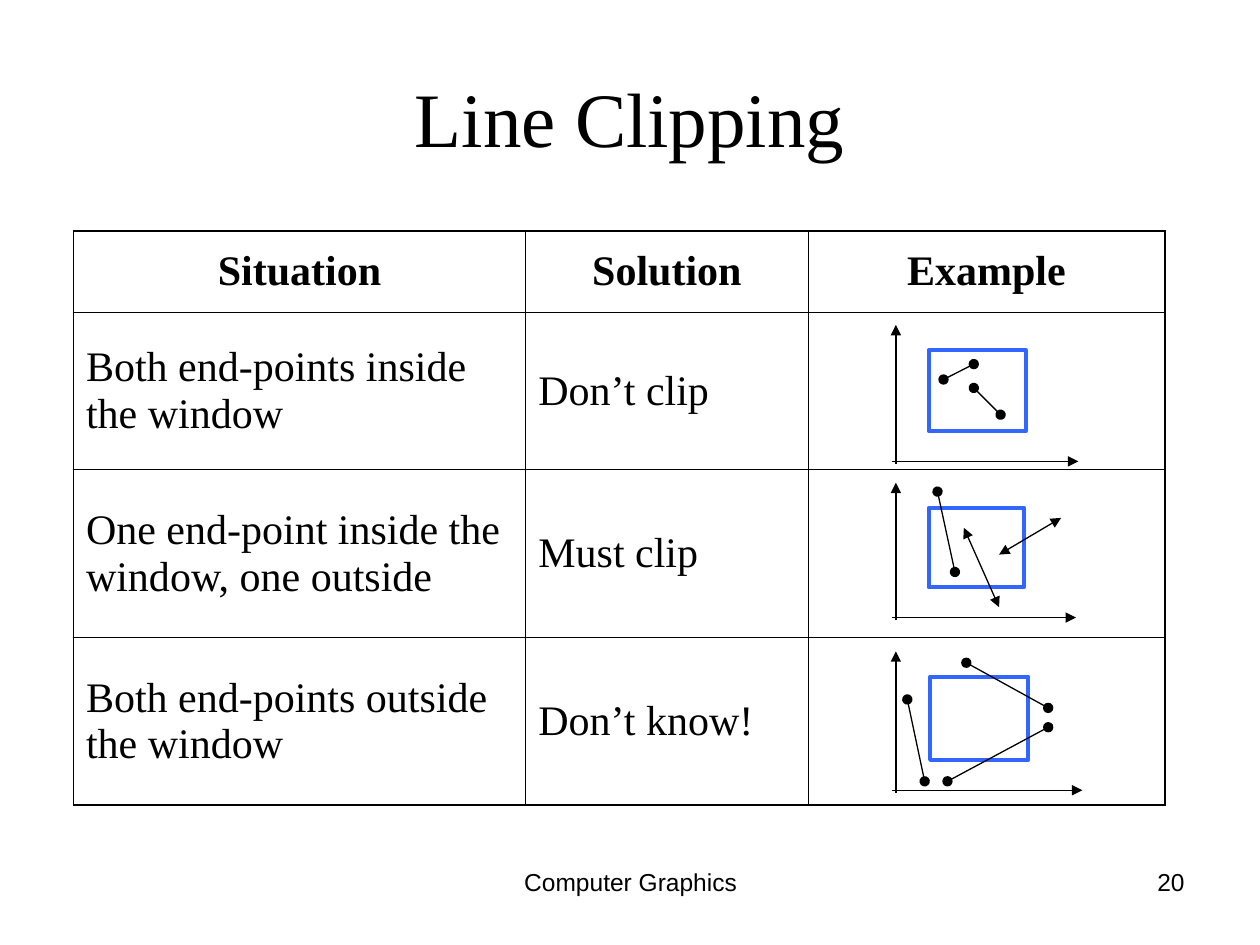
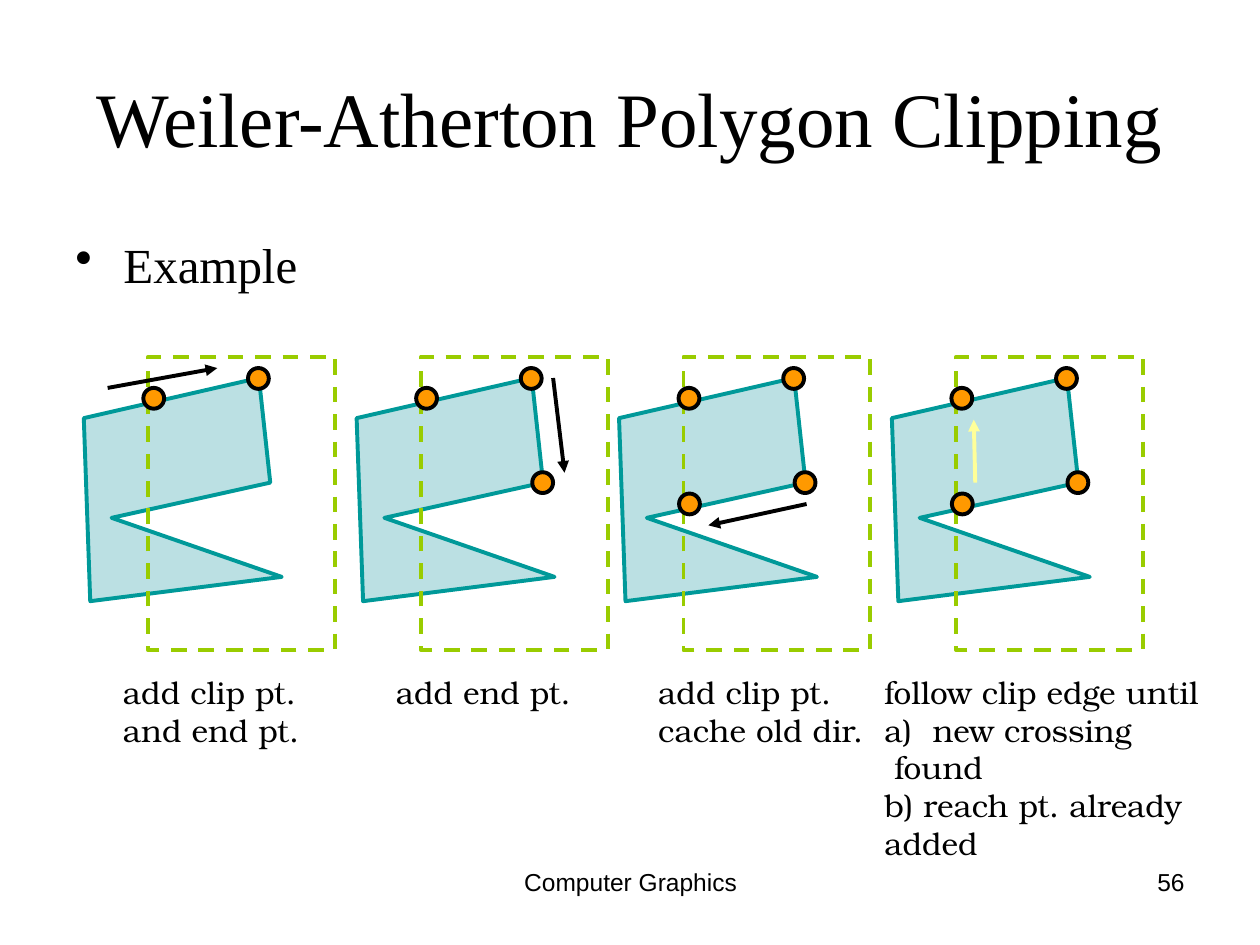
import dataclasses

import lxml.etree
import pptx
import pptx.dml.color
import pptx.enum.dml
import pptx.enum.shapes
import pptx.enum.text
import pptx.oxml.ns
import pptx.util

Cm = pptx.util.Cm
Pt = pptx.util.Pt
rgb = pptx.dml.color.RGBColor.from_string
qn = pptx.oxml.ns.qn
SHAPE = pptx.enum.shapes.MSO_SHAPE
ALIGN = pptx.enum.text.PP_ALIGN
ANCHOR = pptx.enum.text.MSO_ANCHOR


@dataclasses.dataclass(frozen=True)
class Theme:
    ink: str = "000000"
    window: str = "3366FF"
    dashes: str = "99CC00"
    body: str = "BBE0E3"
    edge: str = "009999"
    dot: str = "FF9900"
    follow: str = "FFFF99"
    serif: str = "Times New Roman"
    sans: str = "Arial"
    label: str = "TeX Gyre Bonum"
    title: int = 44
    bullet: int = 28
    cell: int = 24
    note: int = 18
    foot: int = 14
    thin: float = 0.75
    thick: float = 2.25


theme = Theme()


def write(frame, text, size, font=theme.serif, bold=False, align=ALIGN.LEFT,
          anchor=ANCHOR.TOP, marks=None):
    """Fill a frame; marks maps a line number to (left, first indent, bullet tag, its values)."""
    frame.word_wrap = True
    frame.vertical_anchor = anchor
    for num, line in enumerate(text.split("\n")):
        para = frame.paragraphs[0] if num == 0 else frame.add_paragraph()
        if marks and num in marks:
            left, first, tag, values = marks[num]
            props = para._p.get_or_add_pPr()
            props.set("marL", str(Cm(left)))
            props.set("indent", str(Cm(first)))
            lxml.etree.SubElement(props, qn(tag), values)
        para.alignment = align
        run = para.add_run()
        run.text = line
        run.font.size = Pt(size)
        run.font.name = font
        run.font.bold = bold
        run.font.color.rgb = rgb(theme.ink)


def draw(shapes, ends, color=theme.ink, width=theme.thin, head="none", tail="none"):
    """Draw a line from (x1, y1) to (x2, y2) in cm, with a mark at each end."""
    link = shapes.add_connector(pptx.enum.shapes.MSO_CONNECTOR.STRAIGHT, *map(Cm, ends))
    link.line.color.rgb = rgb(color)
    link.line.width = Pt(width)
    stroke = link.line._get_or_add_ln()
    lxml.etree.SubElement(stroke, qn("a:headEnd"), type=head)
    lxml.etree.SubElement(stroke, qn("a:tailEnd"), type=tail)
    lxml.etree.SubElement(link._element.spPr, qn("a:effectLst"))


deck = pptx.Presentation()
deck.slide_width = Cm(25.4)
deck.slide_height = Cm(19.05)

# Title and footers of both slides
pages = []
for title, number in (("Line Clipping", "20"), ("Weiler-Atherton Polygon Clipping", "56")):
    page = deck.slides.add_slide(deck.slide_layouts[6])
    pages.append(page.shapes)
    for place, text, form in (
        ((1.27, 0.76, 22.86, 3.18), title,
         dict(size=theme.title, align=ALIGN.CENTER, anchor=ANCHOR.MIDDLE)),
        ((8.69, 17.35, 8.05, 1.32), "Computer Graphics",
         dict(size=theme.foot, font=theme.sans, align=ALIGN.CENTER)),
        ((18.21, 17.35, 5.92, 1.32), number,
         dict(size=theme.foot, font=theme.sans, align=ALIGN.RIGHT)),
    ):
        write(page.shapes.add_textbox(*map(Cm, place)).text_frame, text, **form)
clip, weiler = pages

# Table of cases
rows = [
    ("Situation", "Solution", "Example"),
    ("Both end-points inside the window", "Don’t clip", ""),
    ("One end-point inside the window, one outside", "Must clip", ""),
    ("Both end-points outside the window", "Don’t know!", ""),
]
widths = (9.12, 5.69, 7.19)
heights = (1.63, 3.18, 3.38, 3.38)
grid = clip.add_table(len(rows), len(widths), Cm(1.48), Cm(4.66),
                      Cm(sum(widths)), Cm(sum(heights))).table
grid.first_row = grid.horz_banding = False
for col, width in zip(grid.columns, widths):
    col.width = Cm(width)
for r, (row, height) in enumerate(zip(rows, heights)):
    grid.rows[r].height = Cm(height)
    for c, text in enumerate(row):
        cell = grid.cell(r, c)
        cell.fill.background()
        cell.vertical_anchor = ANCHOR.MIDDLE
        if text:
            write(cell.text_frame, text, theme.cell, bold=r == 0,
                  align=ALIGN.LEFT if r else ALIGN.CENTER, anchor=None)
        outer = {"L": c == 0, "R": c == len(widths) - 1, "T": r == 0, "B": r == len(rows) - 1}
        for spot, (side, bold) in enumerate(outer.items()):
            rule = lxml.etree.Element(qn("a:ln" + side), w=str(Pt(1.08 if bold else 0.45)))
            fill = lxml.etree.SubElement(rule, qn("a:solidFill"))
            lxml.etree.SubElement(fill, qn("a:srgbClr"), val=theme.ink)
            cell._tc.get_or_add_tcPr().insert(spot, rule)

# Example plots: base line, its right end, top of the axis, window, segments
plots = [
    (9.3, 21.74, 6.55, (18.72, 7.06, 1.96, 1.63), [
        ("oval", (19.02, 7.65, 19.63, 7.34)),
        ("oval", (19.63, 7.82, 20.17, 8.36))]),
    (12.45, 21.69, 9.73, (18.72, 10.24, 1.93, 1.6), [
        ("triangle", (20.14, 11.18, 21.39, 10.44)),
        ("triangle", (19.43, 10.64, 20.14, 12.24)),
        ("oval", (18.9, 9.91, 19.25, 11.53))]),
    (15.93, 21.82, 13.13, (18.75, 13.64, 1.98, 1.68), [
        ("oval", (19.48, 13.36, 21.13, 14.27)),
        ("oval", (19.1, 15.75, 21.13, 14.66)),
        ("oval", (18.29, 14.1, 18.64, 15.75))]),
]
for base, right, top, place, parts in plots:
    plot = clip.add_group_shape().shapes
    draw(plot, (17.98, base, right, base), tail="triangle")
    draw(plot, (18.06, base + 0.05, 18.06, top), tail="triangle")
    window = plot.add_shape(SHAPE.RECTANGLE, *map(Cm, place))
    window.shadow.inherit = False
    window.fill.background()
    window.line.color.rgb = rgb(theme.window)
    window.line.width = Pt(theme.thick)
    for mark, ends in parts:
        draw(plot, ends, head=mark, tail=mark)

# Steps of the polygon example; x values count from the left of each step
write(weiler.add_textbox(Cm(1.27), Cm(4.6), Cm(22.86), Cm(2)).text_frame, "Example",
      theme.bullet, marks={0: (0.97, -0.97, "a:buChar", {"char": "•"})})

outline = [(0, 8.43), (3.53, 7.62), (3.76, 9.73), (0.56, 10.44), (3.99, 11.63), (0.13, 12.12)]
dots = [(1.2, 7.82), (3.31, 7.42), (3.54, 9.52), (1.21, 9.95)]
steps = [
    (1.69, 2, (0.48, 7.82, 2.69, 7.42), theme.ink, 0.54, 5.2,
     "add clip pt.\nand end pt.", None),
    (7.19, 3, (3.96, 7.62, 4.19, 9.53), theme.ink, 0.54, 5.2, "add end pt.", None),
    (12.48, 4, (3.78, 10.16, 1.8, 10.59), theme.ink, 0.54, 5.2,
     "add clip pt.\ncache old dir.", None),
    (17.98, 4, (1.68, 9.73, 1.65, 8.46), theme.follow, -0.4, 7.4,
     "follow clip edge until\nnew crossing\nfound\nb) reach pt. already\nadded",
     {1: (0.97, -0.97, "a:buAutoNum", {"type": "alphaLcParenR"}),
      2: (0.2, 0, "a:buNone", {})}),
]
for left, count, (x1, y1, x2, y2), color, shift, width, text, marks in steps:
    points = [(Cm(left + x), Cm(y)) for x, y in outline]
    pen = weiler.build_freeform(*points[0])
    pen.add_line_segments(points[1:], close=True)
    shape = pen.convert_to_shape()
    frame = weiler.add_shape(SHAPE.RECTANGLE, Cm(left + 1.3), Cm(7.19), Cm(3.76), Cm(5.92))
    frame.line.dash_style = pptx.enum.dml.MSO_LINE.DASH
    looks = [(shape, theme.body, theme.edge), (frame, None, theme.dashes)]
    draw(weiler, (left + x1, y1, left + x2, y2), color, theme.thick, tail="triangle")
    for x, y in dots[:count]:
        dot = weiler.add_shape(SHAPE.OVAL, Cm(left + x), Cm(y), Cm(0.42), Cm(0.42))
        looks.append((dot, theme.dot, theme.ink))
    for item, fill, edge in looks:
        item.shadow.inherit = False
        if fill:
            item.fill.solid()
            item.fill.fore_color.rgb = rgb(fill)
        else:
            item.fill.background()
        item.line.color.rgb = rgb(edge)
        item.line.width = Pt(theme.thick)
    note = weiler.add_textbox(Cm(left + shift), Cm(13.44), Cm(width), Cm(1.8))
    write(note.text_frame, text, theme.note, theme.label, marks=marks)

deck.save("out.pptx")
